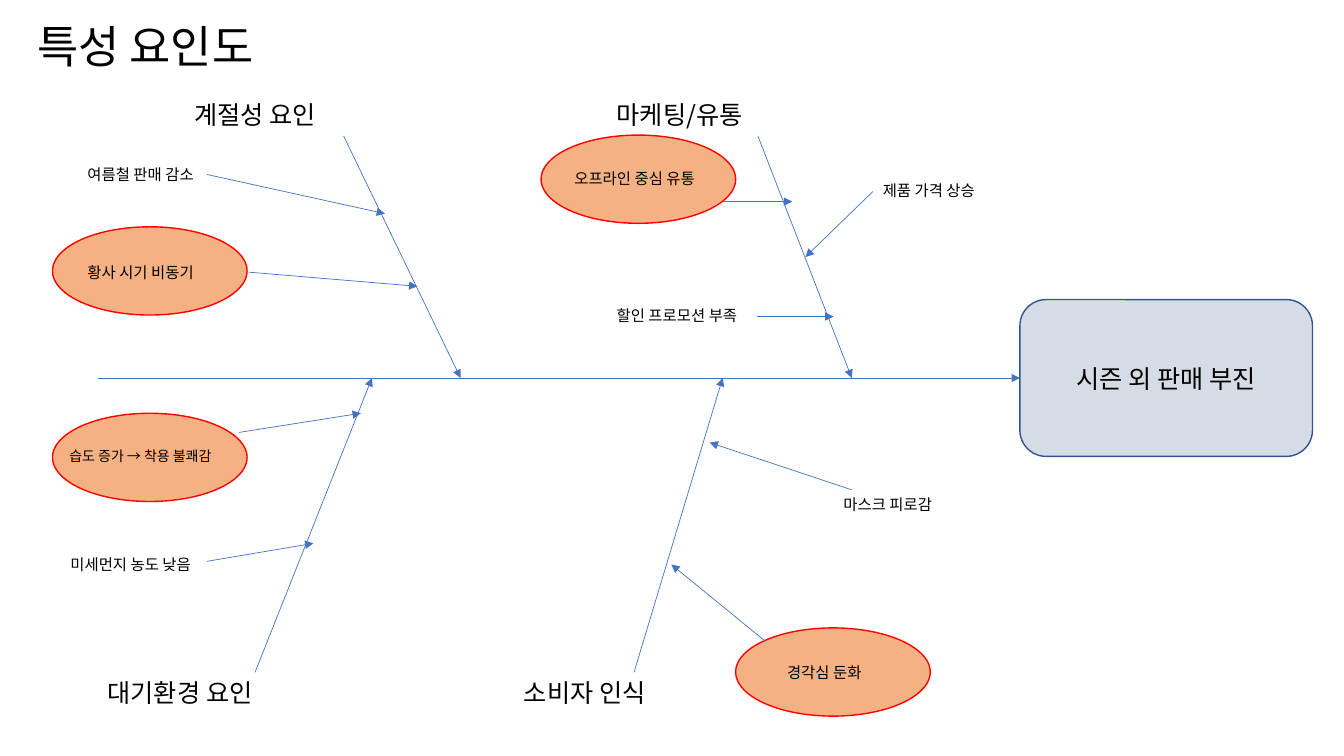
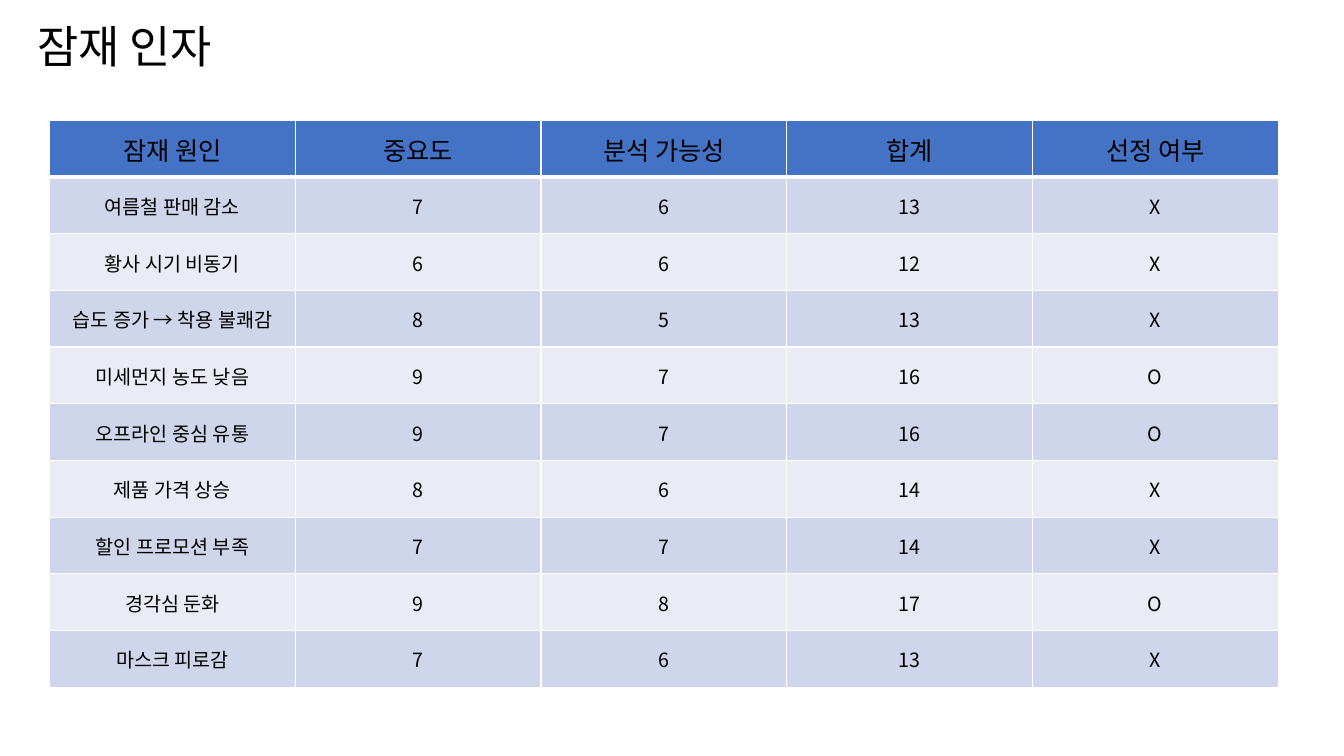
from typing import NamedTuple

from lxml.etree import SubElement
from pptx import Presentation
from pptx.dml.color import RGBColor
from pptx.enum.shapes import MSO_CONNECTOR, MSO_SHAPE
from pptx.enum.text import MSO_ANCHOR, PP_ALIGN
from pptx.oxml.ns import qn
from pptx.util import Pt

FONT = "Noto Sans CJK KR"
COLORS = {
    "text": "000000",
    "accent": "4472C4",
    "highlight": "F4B183",
    "highlight_line": "FF0000",
    "effect": "D6DCE5",
    "effect_line": "325491",
    "band_dark": "CFD5EA",
    "band_light": "E9EBF5",
    "grid": "FFFFFF",
}
SPINE_Y = 202.5
SELECTION_MINIMUM = 16


class Cause(NamedTuple):
    """A cause: its scores, label place, arrow and, if stressed, oval place."""

    name: str
    importance: int
    feasibility: int
    label: tuple
    arrow: tuple
    oval: tuple = None
    size: int = 11


class Branch(NamedTuple):
    """A main bone of the diagram with its heading and causes."""

    name: str
    heading: tuple
    bone_start: tuple
    bone_end_x: float
    causes: list


BRANCHES = [
    Branch("계절성 요인", (94.3, 0), (208, 29.7), 291.5, [
        Cause("여름철 판매 감소", 7, 6, (17.9, 47), (110.1, 57.1, 237.5, 85.1)),
        Cause("황사 시기 비동기", 6, 6, (17.9, 116.8),
              (140.3, 126.9, 260.6, 137), (0, 94.5)),
    ]),
    Branch("대기환경 요인", (32.3, 412.7), (144.7, 412.7), 228.2, [
        Cause("습도 증가 → 착용 불쾌감", 8, 5, (5, 248.6),
              (133.1, 241.4, 220.3, 227.7), (0, 227.7), 10),
        Cause("미세먼지 농도 낮음", 9, 7, (5.7, 325.6),
              (110.1, 333.5, 186.4, 320.6)),
    ]),
    Branch("마케팅/유통", (395.9, 0), (503.9, 29.7), 570.9, [
        Cause("오프라인 중심 유통", 9, 7, (365.7, 49.9),
              (478.7, 76.5, 528.4, 76.5), (349, 29)),
        Cause("제품 가격 상승", 8, 6, (586, 58.5), (586, 69.3, 537.8, 116.1)),
        Cause("할인 프로모션 부족", 7, 7, (395.9, 147.8),
              (503.2, 158.6, 557.9, 158.6)),
    ]),
    Branch("소비자 인식", (329.7, 412.7), (415.4, 412.7), 478.7, [
        Cause("경각심 둔화", 9, 8, (517.6, 402.7),
              (509, 390.4, 442, 335.7), (488, 381)),
        Cause("마스크 피로감", 7, 6, (557.9, 282.4),
              (570.9, 282.4, 469.4, 248.6)),
    ]),
]
TABLE_HEADINGS = ["잠재 원인", "중요도", "분석 가능성", "합계", "선정 여부"]


def rgb(color):
    """Return the named colour."""
    return RGBColor.from_string(COLORS[color])


def write(frame, text, size, align=PP_ALIGN.LEFT):
    """Put one styled paragraph into a text frame and return it."""
    frame.text = text
    paragraph = frame.paragraphs[0]
    paragraph.alignment = align
    font = paragraph.font
    font.size = Pt(size)
    font.bold = False
    font.color.rgb = rgb("text")
    font.name = FONT
    defaults = paragraph._p.pPr.find(qn("a:defRPr"))
    SubElement(defaults, qn("a:ea"), typeface=FONT)
    return paragraph


def add_label(slide, text, size, left, top, width, height,
              anchor=MSO_ANCHOR.TOP):
    """Add a wrapping text box and return its paragraph."""
    frame = slide.shapes.add_textbox(
        Pt(left), Pt(top), Pt(width), Pt(height)).text_frame
    frame.word_wrap = True
    frame.vertical_anchor = anchor
    return write(frame, text, size)


def add_title(slide, text):
    """Add the shared slide title."""
    title = add_label(slide, text, 32, 19.5, 10, 828, 50, MSO_ANCHOR.MIDDLE)
    title.line_spacing = 0.9


def add_panel(slide, outline, left, top, width, height, fill, line):
    """Add a filled, outlined shape."""
    panel = slide.shapes.add_shape(
        outline, Pt(left), Pt(top), Pt(width), Pt(height))
    panel.shadow.inherit = False
    panel.fill.solid()
    panel.fill.fore_color.rgb = rgb(fill)
    panel.line.color.rgb = rgb(line)
    panel.line.width = Pt(1)
    return panel


def add_arrow(slide, start_x, start_y, end_x, end_y):
    """Add a thin arrow between two points."""
    arrow = slide.shapes.add_connector(
        MSO_CONNECTOR.STRAIGHT, Pt(start_x), Pt(start_y), Pt(end_x), Pt(end_y))
    arrow.line.color.rgb = rgb("accent")
    arrow.line.width = Pt(0.5)
    SubElement(arrow.line._get_or_add_ln(), qn("a:tailEnd"), type="triangle")
    SubElement(arrow._element.spPr, qn("a:effectLst"))
    return arrow


def add_cause(slide, cause, left, top):
    """Draw a cause with its oval, label and arrow."""
    if cause.oval:
        x, y = cause.oval
        add_panel(slide, MSO_SHAPE.OVAL, left + x, top + y, 139, 63,
                  "highlight", "highlight_line")
    x, y = cause.label
    add_label(slide, cause.name, cause.size, left + x, top + y, 128, 21)
    start_x, start_y, end_x, end_y = cause.arrow
    add_arrow(slide, left + start_x, top + start_y, left + end_x, top + end_y)


def add_branch(slide, branch, left, top):
    """Draw a main bone with its heading and causes."""
    x, y = branch.heading
    add_label(slide, branch.name, 18, left + x, top + y, 132, 29)
    x, y = branch.bone_start
    add_arrow(slide, left + x, top + y, left + branch.bone_end_x, top + SPINE_Y)
    for cause in branch.causes:
        add_cause(slide, cause, left, top)


def add_fishbone(slide, left, top):
    """Draw the spine, the effect and all branches."""
    effect_left, effect_height = left + 691, 112
    spine_y = top + SPINE_Y
    effect = add_panel(slide, MSO_SHAPE.ROUNDED_RECTANGLE, effect_left,
                       spine_y - effect_height / 2, 209, effect_height,
                       "effect", "effect_line")
    effect.text_frame.vertical_anchor = MSO_ANCHOR.MIDDLE
    write(effect.text_frame, "시즌 외 판매 부진", 18, PP_ALIGN.CENTER)
    spine = add_arrow(slide, left + 32.3, spine_y, effect_left, spine_y)
    spine.end_connect(effect, 1)
    for branch in BRANCHES:
        add_branch(slide, branch, left, top)


def style_cell(cell, text, size, fill, top_width, bottom_width):
    """Fill, border and label one table cell."""
    cell.fill.solid()
    cell.fill.fore_color.rgb = rgb(fill)
    cell.vertical_anchor = MSO_ANCHOR.MIDDLE
    cell.margin_left = cell.margin_right = cell.margin_top = Pt(0.7)
    cell.margin_bottom = 0
    write(cell.text_frame, text, size, PP_ALIGN.CENTER)
    properties = cell._tc.get_or_add_tcPr()
    widths = {"lnL": 1, "lnR": 1, "lnT": top_width, "lnB": bottom_width}
    for position, (side, width) in enumerate(widths.items()):
        border = SubElement(properties, qn(f"a:{side}"), w=str(Pt(width)))
        paint = SubElement(border, qn("a:solidFill"))
        SubElement(paint, qn("a:srgbClr"), val=COLORS["grid"])
        properties.insert(position, border)


def add_score_table(slide, left, top, width, height):
    """Tabulate the scores of all causes and which are selected."""
    rows = [TABLE_HEADINGS]
    for branch in BRANCHES:
        for cause in branch.causes:
            total = cause.importance + cause.feasibility
            selected = "O" if total >= SELECTION_MINIMUM else "X"
            rows.append([cause.name, cause.importance, cause.feasibility,
                         total, selected])
    table = slide.shapes.add_table(
        len(rows), len(TABLE_HEADINGS),
        Pt(left), Pt(top), Pt(width), Pt(height)).table
    for row_index, row in enumerate(rows):
        heading = row_index == 0
        band = "band_dark" if row_index % 2 else "band_light"
        for column_index, value in enumerate(row):
            style_cell(table.cell(row_index, column_index), str(value),
                       18 if heading else 14, "accent" if heading else band,
                       3 if row_index == 1 else 1, 3 if heading else 1)


def main():
    """Build and save both slides."""
    presentation = Presentation()
    presentation.slide_width, presentation.slide_height = Pt(960), Pt(540)
    blank = presentation.slide_layouts[6]

    diagram_slide = presentation.slides.add_slide(blank)
    add_title(diagram_slide, "특성 요인도")
    add_fishbone(diagram_slide, 37.5, 67.5)

    score_slide = presentation.slides.add_slide(blank)
    add_title(score_slide, "잠재 인자")
    add_score_table(score_slide, 35.5, 86, 877.5, 405)

    presentation.save("out.pptx")


if __name__ == "__main__":
    main()
